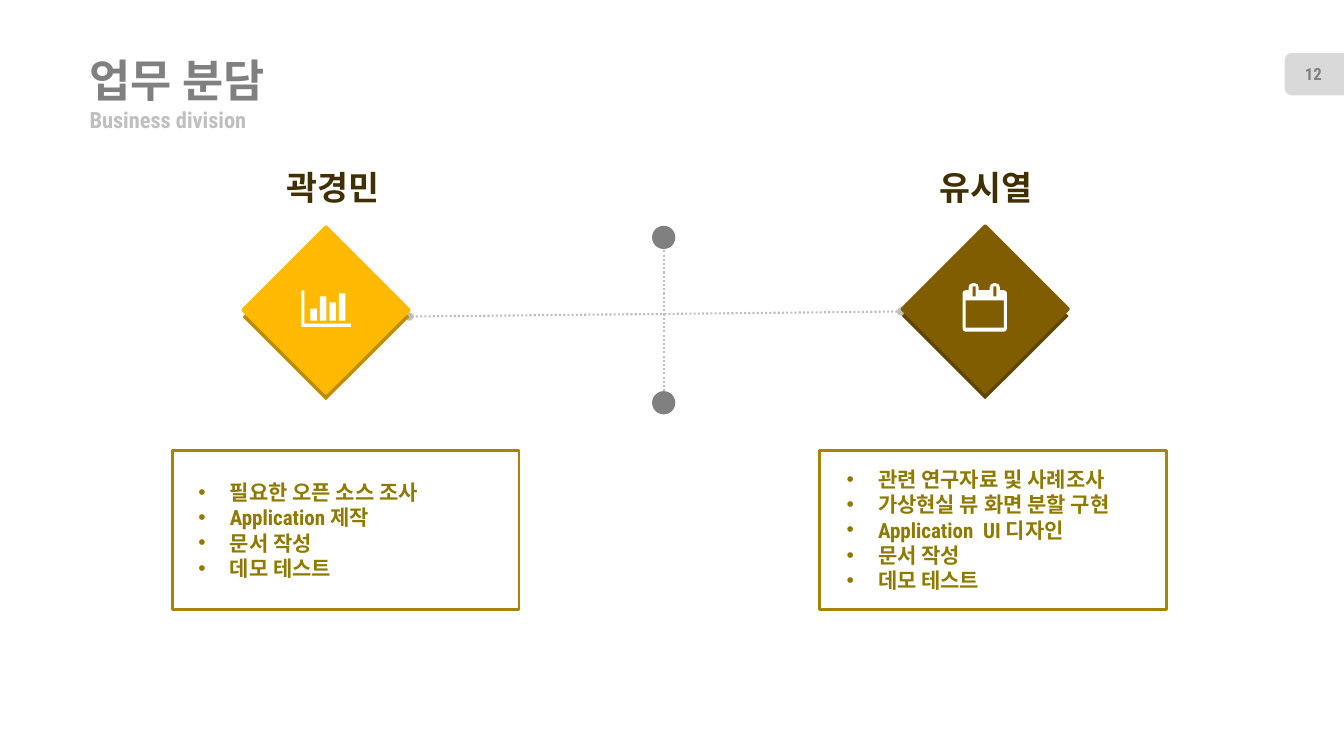
from dataclasses import dataclass

import pptx
import pptx.dml.color
import pptx.enum.dml
import pptx.enum.shapes
import pptx.enum.text
import pptx.oxml.ns
import pptx.util
from lxml import etree

Pt = pptx.util.Pt
SHAPE = pptx.enum.shapes.MSO_SHAPE
ALIGN = pptx.enum.text.PP_ALIGN
ANCHOR = pptx.enum.text.MSO_ANCHOR
Contour = list[tuple[float, float]]


@dataclass
class Label:
    text: str
    x: float
    y: float
    w: float
    h: float
    size: float
    color: str
    font: str = "Roboto Condensed"
    align: ALIGN = ALIGN.LEFT
    anchor: ANCHOR = ANCHOR.TOP
    inset: bool = True
    bullets: bool = False


@dataclass
class Diamond:
    x: float
    y: float
    face: str
    edge: str


@dataclass
class Icon:
    x: float
    y: float
    contours: list[Contour]


@dataclass
class Member:
    name: Label
    diamond: Diamond
    icon: Icon
    tasks: Label
    frame_x: float


def rgb(value: str) -> pptx.dml.color.RGBColor:
    return pptx.dml.color.RGBColor.from_string(value)


def add_xml(parent, tag: str, **attrs: str):
    return etree.SubElement(parent, pptx.oxml.ns.qn(tag), attrs)


def paint(sp, fill: str | None, line: str | None = None) -> None:
    sp.shadow.inherit = False
    if fill:
        sp.fill.solid()
        sp.fill.fore_color.rgb = rgb(fill)
    else:
        sp.fill.background()
    if line:
        sp.line.color.rgb = rgb(line)
        sp.line.width = Pt(2)
        add_xml(sp.line._get_or_add_ln(), "a:round")
    else:
        sp.line.fill.background()


def add_shape(s, kind: SHAPE, x: float, y: float, w: float, h: float,
              fill: str | None, line: str | None = None, rotation: float = 0) -> None:
    sp = s.shapes.add_shape(kind, Pt(x), Pt(y), Pt(w), Pt(h))
    sp.rotation = rotation
    paint(sp, fill, line)


def add_label(s, label: Label) -> None:
    sp = s.shapes.add_textbox(Pt(label.x), Pt(label.y), Pt(label.w), Pt(label.h))
    tf = sp.text_frame
    tf.word_wrap = True
    tf.vertical_anchor = label.anchor
    if not label.inset:
        tf.margin_left = tf.margin_right = tf.margin_top = tf.margin_bottom = 0
    tf.text = label.text
    for p in tf.paragraphs:
        p.alignment = label.align
        if label.bullets:
            pPr = p._p.get_or_add_pPr()
            pPr.set("marL", str(Pt(22.5)))
            pPr.set("indent", str(-Pt(22.5)))
            add_xml(pPr, "a:buFont", typeface="Arial")
            add_xml(pPr, "a:buChar", char="•")
        for r in p.runs:
            r.font.name = label.font
            r.font.size = Pt(label.size)
            r.font.bold = True
            r.font.color.rgb = rgb(label.color)


def add_dotted_line(s, x1: float, y1: float, x2: float, y2: float) -> None:
    cn = s.shapes.add_connector(pptx.enum.shapes.MSO_CONNECTOR.STRAIGHT,
                                Pt(x1), Pt(y1), Pt(x2), Pt(y2))
    cn.line.color.rgb = rgb("BFBFBF")
    cn.line.width = Pt(1.5)
    cn.line.dash_style = pptx.enum.dml.MSO_LINE.ROUND_DOT
    ln = cn.line._get_or_add_ln()
    add_xml(ln, "a:headEnd", type="oval")
    add_xml(ln, "a:tailEnd", type="oval")
    add_xml(cn._element.spPr, "a:effectLst")


def add_diamond(s, d: Diamond) -> None:
    add_shape(s, SHAPE.RECTANGLE, d.x, d.y + 5, 84.2, 84.2, d.edge, rotation=315)
    add_shape(s, SHAPE.RECTANGLE, d.x, d.y, 84.2, 84.2, d.face, d.face, 315)


def add_icon(s, icon: Icon) -> None:
    outlines = [[(Pt(icon.x + x), Pt(icon.y + y)) for x, y in c] for c in icon.contours]
    fb = s.shapes.build_freeform(*outlines[0][0], scale=1.0)
    for i, outline in enumerate(outlines):
        if i:
            fb.move_to(*outline[0])
        fb.add_line_segments(outline[1:], close=True)
    paint(fb.convert_to_shape(), "FFFFFF")


def block(x: float, y: float, w: float, h: float) -> Contour:
    return [(x, y), (x + w, y), (x + w, y + h), (x, y + h)]


def calendar() -> list[Contour]:
    outline = [(0, 7), (0.7, 5.5), (2.2, 5)]
    for x in (4.3, 19.4):
        outline += [(x, 5), (x, 2.9), (x + 0.8, 0.8), (x + 2.9, 0), (x + 4.3, 0),
                    (x + 6.4, 0.8), (x + 7.2, 2.9), (x + 7.2, 5)]
    outline += [(29.5, 5), (31, 5.5), (31.7, 7), (31.7, 32.4), (31, 34),
                (29.5, 34.6), (2.2, 34.6), (0.7, 34), (0, 32.4)]
    slots = [block(x, 2.2, 2.2, 7.2) for x in (7.2, 22)]
    return [outline, block(2.2, 12.2, 27.3, 19.5), *slots]


def bar_chart() -> list[Contour]:
    axes = [(0, 0), (2.2, 0), (2.2, 23.8), (35.3, 23.8), (35.3, 26), (0, 26)]
    bars = [block(6.5 + 6.75 * i, 21.6 - h, 4.6, h)
            for i, h in enumerate((8.6, 17.3, 13, 19.4))]
    return [axes, *bars]


def name_label(text: str, x: float) -> Label:
    return Label(text, x, 115.9, 124.6, 36, 24, "402F00", align=ALIGN.RIGHT)


def task_label(tasks: list[str], x: float, y: float, h: float) -> Label:
    return Label("\n".join(tasks), x, y, 348.5, h, 15, "8F7A00", bullets=True)


MEMBERS = [
    Member(name_label("곽경민", 153.4), Diamond(190.8, 179.3, "FFBA00", "BF8B00"),
           Icon(215.3, 207.4, bar_chart()),
           task_label(["필요한 오픈 소스 조사", "Application 제작", "문서 작성", "데모 테스트"],
                      134.6, 339.1, 79.9), 123.1),
    Member(name_label("유시열", 619.9), Diamond(661.7, 178.6, "7F5D00", "5F4600"),
           Icon(687.6, 202.3, calendar()),
           task_label(["관련 연구자료 및 사례조사", "가상현실 뷰 화면 분할 구현",
                       "Application  UI 디자인", "문서 작성", "데모 테스트"],
                      597.6, 329.8, 97.9), 585.4),
]
HEADINGS = [
    Label("12", 918, 38.2, 40.3, 28.8, 12, "808080", align=ALIGN.CENTER, anchor=ANCHOR.MIDDLE),
    Label("업무 분담", 64, 38.2, 592, 37.4, 32, "808080", "Roboto",
          anchor=ANCHOR.MIDDLE, inset=False),
    Label("Business division", 64, 74.9, 432, 20.9, 16, "BFBFBF",
          anchor=ANCHOR.MIDDLE, inset=False),
]


def main() -> None:
    prs = pptx.Presentation()
    prs.slide_width, prs.slide_height = Pt(960), Pt(540)
    s = prs.slides.add_slide(prs.slide_layouts[6])
    add_shape(s, SHAPE.ROUND_2_SAME_RECTANGLE, 923.8, 31.7, 30.2, 42.5, "D9D9D9", rotation=270)
    for label in HEADINGS:
        add_label(s, label)
    add_dotted_line(s, 643.7, 222.5, 292.3, 226.1)
    add_dotted_line(s, 474.3, 285.1, 474.3, 171.4)
    for y in (161.3, 279.4):
        add_shape(s, SHAPE.OVAL, 465.8, y, 16.6, 16.6, "808080")
    for m in MEMBERS:
        add_label(s, m.name)
        add_diamond(s, m.diamond)
        add_icon(s, m.icon)
        add_label(s, m.tasks)
        add_shape(s, SHAPE.RECTANGLE, m.frame_x, 321.8, 247.7, 113.8, None, "A4850A")
    prs.save("out.pptx")


if __name__ == "__main__":
    main()
